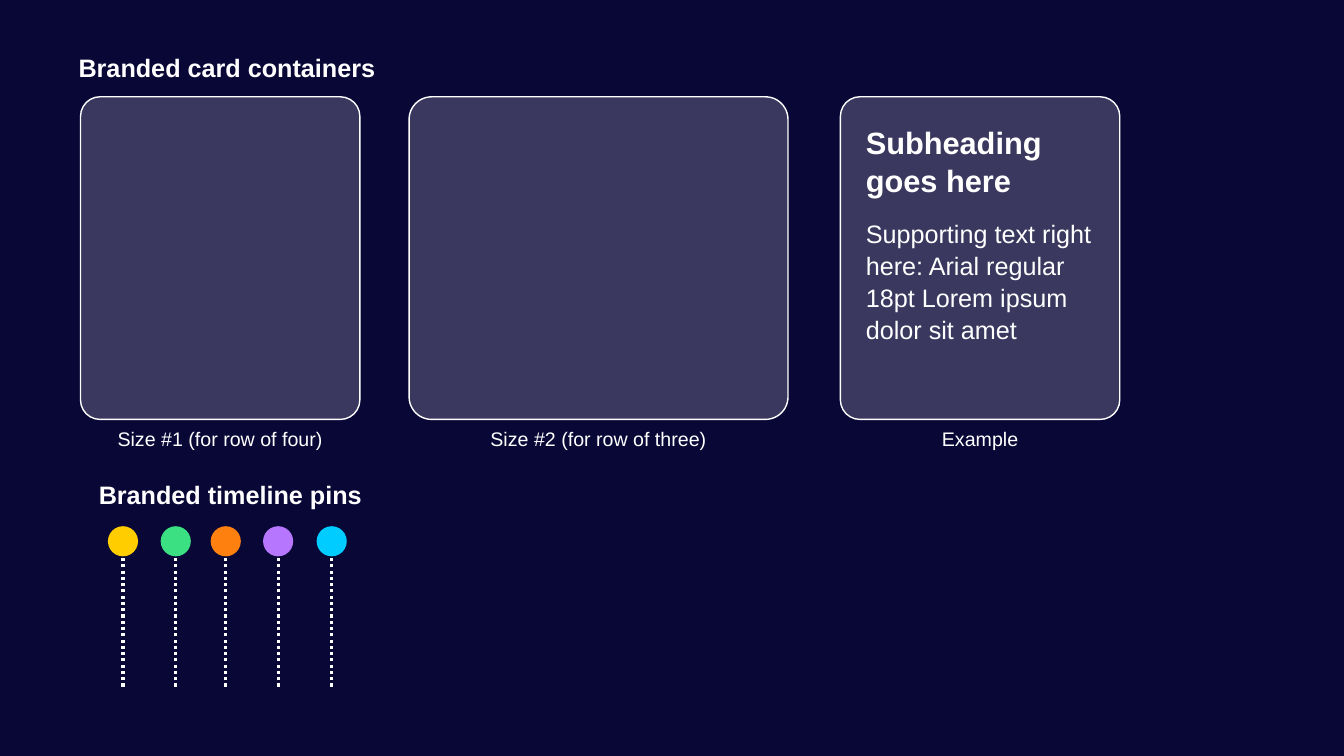
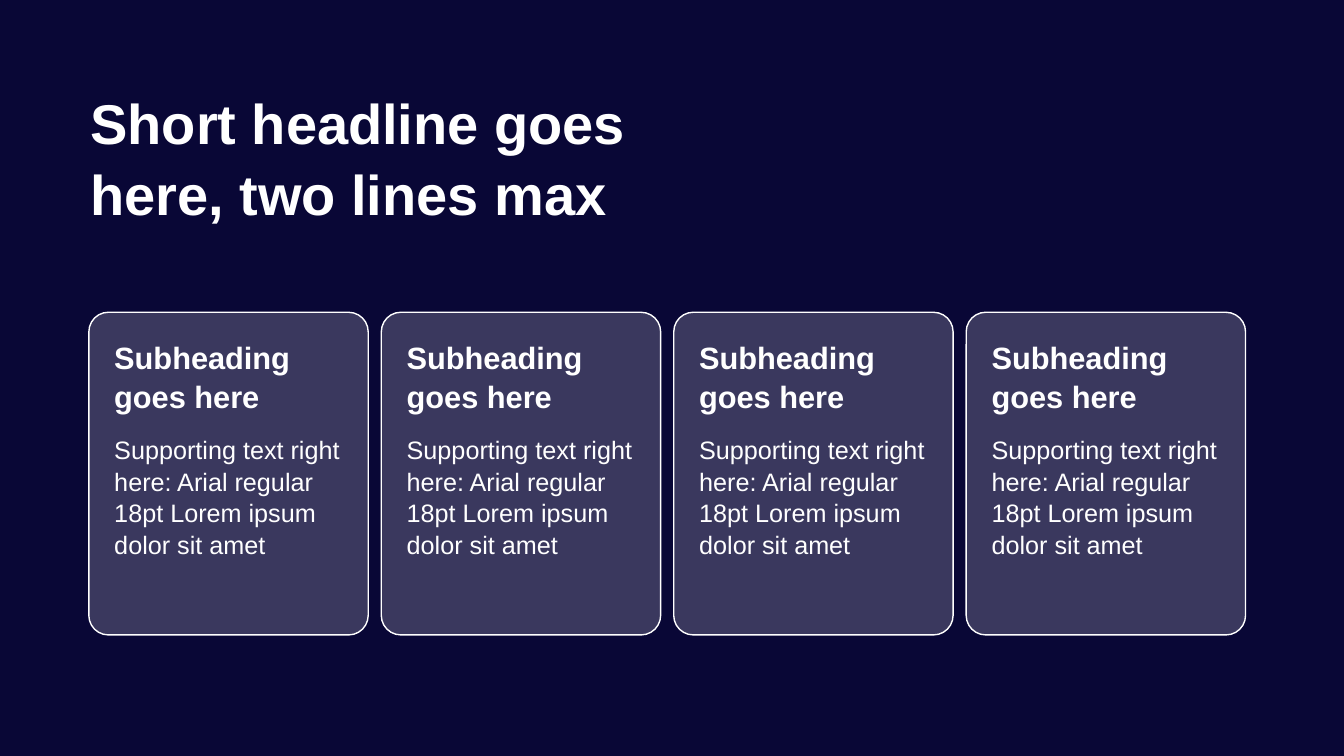
"""Build two slides of branded cards and timeline pins."""
from lxml import etree
from pptx import Presentation
from pptx.dml.color import RGBColor
from pptx.enum.dml import MSO_LINE
from pptx.enum.shapes import MSO_CONNECTOR, MSO_SHAPE
from pptx.enum.text import MSO_ANCHOR, PP_ALIGN
from pptx.oxml.ns import qn
from pptx.util import Cm, Pt

ROUND_RECT, OVAL = MSO_SHAPE.ROUNDED_RECTANGLE, MSO_SHAPE.OVAL
STRAIGHT = MSO_CONNECTOR.STRAIGHT
SYS_DOT = MSO_LINE.ROUND_DOT
TOP, BOTTOM = MSO_ANCHOR.TOP, MSO_ANCHOR.BOTTOM
LEFT, CENTER = PP_ALIGN.LEFT, PP_ALIGN.CENTER

FONT = "Arial"
COLORS = {
    "navy": "090736",
    "white": "FFFFFF",
    "yellow": "FFCD00",
    "green": "3AE081",
    "orange": "FE8110",
    "purple": "B677FE",
    "cyan": "00CCFF",
}
RGB = {name: RGBColor.from_string(value) for name, value in COLORS.items()}

CARD_W, WIDE_CARD_W, CARD_H = 7.04, 9.55, 8.13
SUBHEADING = "Subheading goes here"
SUPPORTING = "Supporting text right here: Arial regular 18pt Lorem ipsum dolor sit amet"


def add_text(s, x, y, w, h, text, size, bold=False, align=LEFT, anchor=TOP, spacing=1.0):
    sp = s.shapes.add_textbox(Cm(x), Cm(y), Cm(w), Cm(h))
    tf = sp.text_frame
    tf.word_wrap = True
    tf.vertical_anchor = anchor
    p = tf.paragraphs[0]
    p.alignment = align
    p.line_spacing = spacing
    r = p.add_run()
    r.text = text
    r.font.name = FONT
    r.font.size = Pt(size)
    r.font.bold = bold
    r.font.color.rgb = RGB["white"]


def add_card(s, x, y, w=CARD_W, filled=True):
    sp = s.shapes.add_shape(ROUND_RECT, Cm(x), Cm(y), Cm(w), Cm(CARD_H))
    sp.adjustments[0] = 0.07
    sp.shadow.inherit = False
    sp.fill.solid()
    sp.fill.fore_color.rgb = RGB["white"]
    color = sp._element.spPr.find(qn("a:solidFill")).find(qn("a:srgbClr"))
    etree.SubElement(color, qn("a:alpha"), val="20000")
    sp.line.color.rgb = RGB["white"]
    sp.line.width = Pt(1)
    if filled:
        add_text(s, x + 0.39, y + 0.62, 6.27, 2.08, SUBHEADING, 22,
                 bold=True, anchor=BOTTOM, spacing=1.05)
        add_text(s, x + 0.39, y + 2.91, 6.27, 4.57, SUPPORTING, 18, spacing=1.05)


prs = Presentation()
prs.slide_width, prs.slide_height = Cm(33.87), Cm(19.05)
background = prs.slide_master.background.fill
background.solid()
background.fore_color.rgb = RGB["navy"]
blank = prs.slide_layouts[6]

s = prs.slides.add_slide(blank)
add_text(s, 1.73, 1.19, 18.14, 1.02, "Branded card containers", 18, bold=True)
card_top = 2.44
for x, w, caption, filled in (
    (2.03, CARD_W, "Size #1 (for row of four)", False),
    (10.31, WIDE_CARD_W, "Size #2 (for row of three)", False),
    (21.18, CARD_W, "Example", True),
):
    add_card(s, x, card_top, w, filled)
    add_text(s, x, card_top + CARD_H + 0.07, w, 0.86, caption, 14, align=CENTER)

add_text(s, 2.24, 11.96, 18.14, 1.02, "Branded timeline pins", 18, bold=True)
pin_top, pin_size = 13.26, 0.76
for x, color in (
    (3.1, "yellow"), (4.43, "green"), (5.69, "orange"), (7.01, "purple"), (8.36, "cyan"),
):
    pin = s.shapes.add_group_shape()
    stem = pin.shapes.add_connector(STRAIGHT, Cm(x), Cm(17.3), Cm(x), Cm(14.05))
    stem.line.color.rgb = RGB["white"]
    stem.line.width = Pt(2.25)
    stem.line.dash_style = SYS_DOT
    etree.SubElement(stem._element.spPr, qn("a:effectLst"))
    head = pin.shapes.add_shape(
        OVAL, Cm(x - pin_size / 2), Cm(pin_top), Cm(pin_size), Cm(pin_size))
    head.shadow.inherit = False
    head.fill.solid()
    head.fill.fore_color.rgb = RGB[color]
    head.line.fill.background()

s = prs.slides.add_slide(blank)
add_text(s, 2.03, 2.03, 17.2, 4.45, "Short headline goes here, two lines max", 40,
         bold=True, spacing=1.05)
for i in range(4):
    add_card(s, 2.24 + i * 7.37, 7.87)

prs.save("out.pptx")
